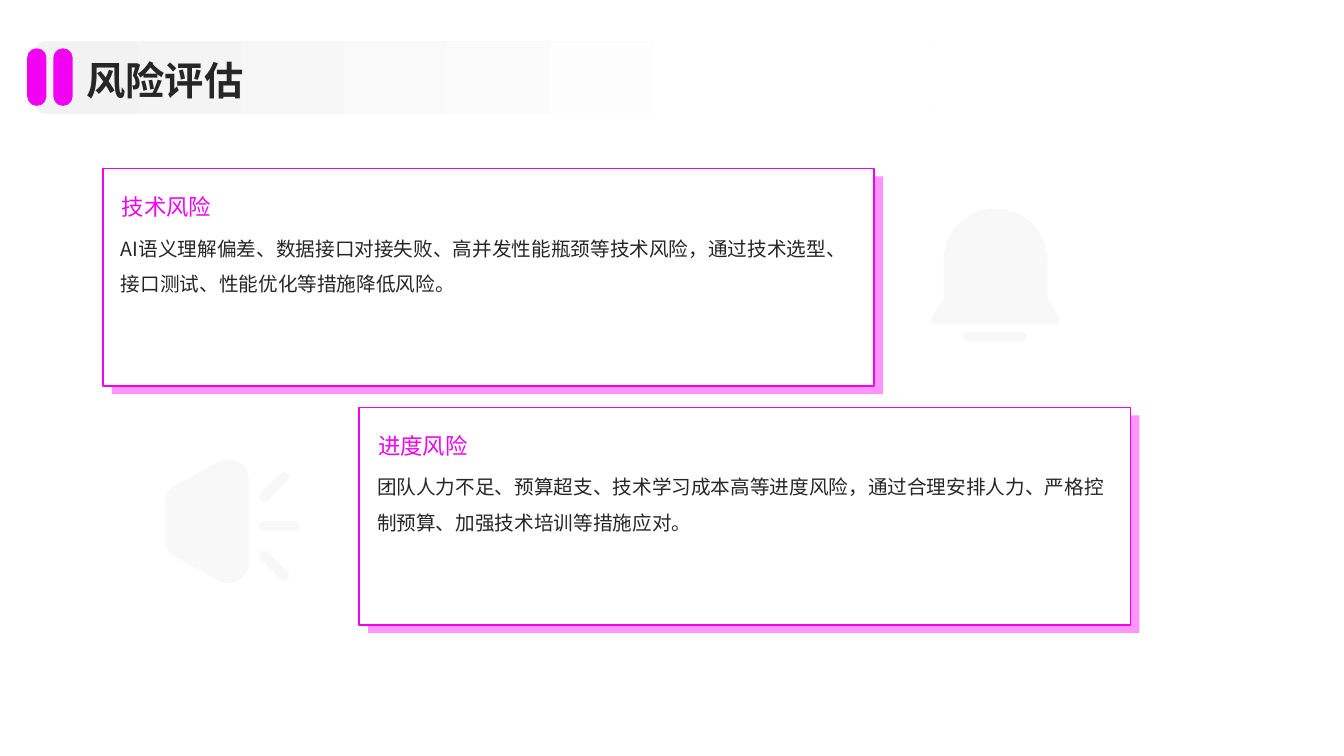
from math import acos, hypot, tan
from pptx import Presentation
from pptx.dml.color import RGBColor
from pptx.enum.shapes import MSO_SHAPE as SHAPE
from pptx.enum.text import MSO_ANCHOR as ANCHOR, MSO_AUTO_SIZE as AUTO, PP_ALIGN as ALIGN
from pptx.oxml.ns import qn
from pptx.util import Inches, Pt
from lxml import etree

FONT = "Noto Sans CJK SC"
MAGENTA = RGBColor(0xF2, 0x00, 0xF2)
PINK = RGBColor(0xFF, 0x94, 0xFF)
WHITE = RGBColor(0xFF, 0xFF, 0xFF)
GRAY = RGBColor(0xF2, 0xF2, 0xF2)
INK = RGBColor(0x26, 0x26, 0x26)

# Content
TITLE = "风险评估"
CARDS = [  # left, top, heading, body
    (1.02, 1.67, "技术风险",
     "AI语义理解偏差、数据接口对接失败、高并发性能瓶颈等技术风险，通过技术选型、接口测试、性能优化等措施降低风险。"),
    (3.56, 4.04, "进度风险",
     "团队人力不足、预算超支、技术学习成本高等进度风险，通过合理安排人力、严格控制预算、加强技术培训等措施应对。"),
]
CARD_W, CARD_H = 7.65, 2.16

# Icon outlines: corners as x, y, length cut off by the rounding
BELL = [(9.36, 2.07, 0.51), (10.39, 2.07, 0.51), (10.39, 2.98, 0),
        (10.56, 3.22, 0.1), (9.19, 3.22, 0.1), (9.36, 2.97, 0)]
SPEAKER = [(1.63, 4.88, 0.11), (2.47, 4.41, 0.35),
           (2.47, 5.93, 0.35), (1.63, 5.46, 0.11)]
# Round-ended strokes: x1, y1, x2, y2
BELL_BASE = [(9.6, 3.34, 10.14, 3.34)]
SOUND_RAYS = [(2.62, 4.93, 2.82, 4.73), (2.62, 5.22, 2.92, 5.22), (2.62, 5.51, 2.82, 5.71)]
STROKE_R = 0.05

prs = Presentation()
prs.slide_width, prs.slide_height = Inches(13.33), Inches(7.5)
slide = prs.slides.add_slide(prs.slide_layouts[5])
shapes = slide.shapes


def add_box(kind, x, y, w, h, fill=None, line=None, adj=None):
    s = shapes.add_shape(kind, Inches(x), Inches(y), Inches(w), Inches(h))
    s.shadow.inherit = False
    if fill is not None:
        s.fill.solid()
        s.fill.fore_color.rgb = fill
    if line is None:
        s.line.fill.background()
    else:
        s.line.color.rgb = line
        s.line.width = Pt(1)
    if adj is not None:
        s.adjustments[0] = adj
    return s


def set_text(s, text, size, color, spacing, anchor=ANCHOR.TOP, bold=False):
    tf = s.text_frame
    tf.word_wrap, tf.auto_size, tf.vertical_anchor = True, AUTO.NONE, anchor
    tf.margin_left = tf.margin_right = tf.margin_top = tf.margin_bottom = 0
    p = tf.paragraphs[0]
    p.alignment, p.line_spacing = ALIGN.LEFT, spacing
    r = p.add_run()
    r.text = text
    r.font.size, r.font.bold, r.font.name = Pt(size), bold, FONT
    r.font.color.rgb = color
    ea = etree.SubElement(r.font._element, qn("a:ea"))
    ea.set("typeface", FONT)


def add_label(x, y, w, h, text, **fmt):
    s = shapes.add_textbox(Inches(x), Inches(y), Inches(w), Inches(h))
    set_text(s, text, **fmt)


def stroke_corners(x1, y1, x2, y2):
    """Corners of a bar that reaches STROKE_R beyond both ends."""
    length = hypot(x2 - x1, y2 - y1)
    ux, uy = (x2 - x1) * STROKE_R / length, (y2 - y1) * STROKE_R / length
    return [(x1 - ux + uy, y1 - uy - ux, STROKE_R), (x2 + ux + uy, y2 + uy - ux, STROKE_R),
            (x2 + ux - uy, y2 + uy + ux, STROKE_R), (x1 - ux - uy, y1 - uy + ux, STROKE_R)]


def round_corners(corners):
    """Give one point for a sharp corner, four (start, handles, end) for a round one."""
    groups = []
    for i, (x, y, cut) in enumerate(corners):
        if not cut:
            groups.append([(Inches(x), Inches(y))])
            continue
        dirs = []
        for nx, ny, _ in (corners[i - 1], corners[(i + 1) % len(corners)]):
            d = hypot(nx - x, ny - y)
            dirs.append(((nx - x) / d, (ny - y) / d))
        a, b = dirs
        turn = acos(-(a[0] * b[0] + a[1] * b[1]))
        handle = cut * (1 - 4 / 3 * tan(turn / 4) / tan(turn / 2))
        groups.append([(Inches(x + d * v[0]), Inches(y + d * v[1]))
                       for v, d in ((a, cut), (a, handle), (b, handle), (b, cut))])
    return groups


def add_icon(body, strokes):
    outlines = [round_corners(c) for c in [body] + [stroke_corners(*k) for k in strokes]]
    builder = shapes.build_freeform(*outlines[0][0][0], scale=1.0)
    for i, groups in enumerate(outlines):
        points = [pt for group in groups for pt in group]
        if i:
            builder.move_to(*points[0])
        builder.add_line_segments(points[1:], close=True)
    s = builder.convert_to_shape()
    s.shadow.inherit = False
    s.fill.solid()
    s.fill.fore_color.rgb = GRAY
    s.line.fill.background()
    color = s._element.spPr.find(qn("a:solidFill"))[0]
    etree.SubElement(color, qn("a:alpha")).set("val", "50000")

    # Turn the three segments of each round corner into one curve
    outline = s._element.spPr.find(".//" + qn("a:path"))
    steps = iter([e for e in outline if e.tag != qn("a:close")])
    for group in (g for groups in outlines for g in groups):
        members = [next(steps) for _ in group]
        if len(members) == 4:
            curve = etree.Element(qn("a:cubicBezTo"))
            members[0].addnext(curve)
            for segment in members[1:]:
                curve.append(segment[0])
                outline.remove(segment)


# Risk cards with offset backing
for x, y, heading, body in CARDS:
    add_box(SHAPE.RECTANGLE, x + 0.09, y + 0.08, CARD_W, CARD_H, PINK)
    add_box(SHAPE.RECTANGLE, x, y, CARD_W, CARD_H, WHITE, line=MAGENTA)
    add_label(x + 0.19, y + 0.16, 7.28, 0.35, heading,
              size=16, color=MAGENTA, spacing=1.3, anchor=ANCHOR.BOTTOM)
    add_label(x + 0.18, y + 0.56, 7.3, 1.43, body, size=14, color=INK, spacing=1.5)

# Pale icons
add_icon(BELL, BELL_BASE)
add_icon(SPEAKER, SOUND_RAYS)

# Title band fading to white
band = add_box(SHAPE.ROUNDED_RECTANGLE, 0.35, 0.41, 8.94, 0.72, adj=0.139)
band.fill.gradient()
band.fill.gradient_angle = 0
for stop, color, pos in zip(band.fill.gradient_stops, (GRAY, WHITE), (0, 0.8)):
    stop.color.rgb = color
    stop.position = pos

# Title, brought in front of the band
title = shapes.title
title.left, title.top, title.width, title.height = map(Inches, (0.86, 0.51, 11.67, 0.51))
set_text(title, TITLE, size=28, color=INK, spacing=1.1, anchor=ANCHOR.MIDDLE, bold=True)
shapes._spTree.append(title._element)

# Accent bars
for x in (0.27, 0.53):
    add_box(SHAPE.ROUNDED_RECTANGLE, x, 0.48, 0.19, 0.57, MAGENTA, adj=0.484)

prs.save("out.pptx")
